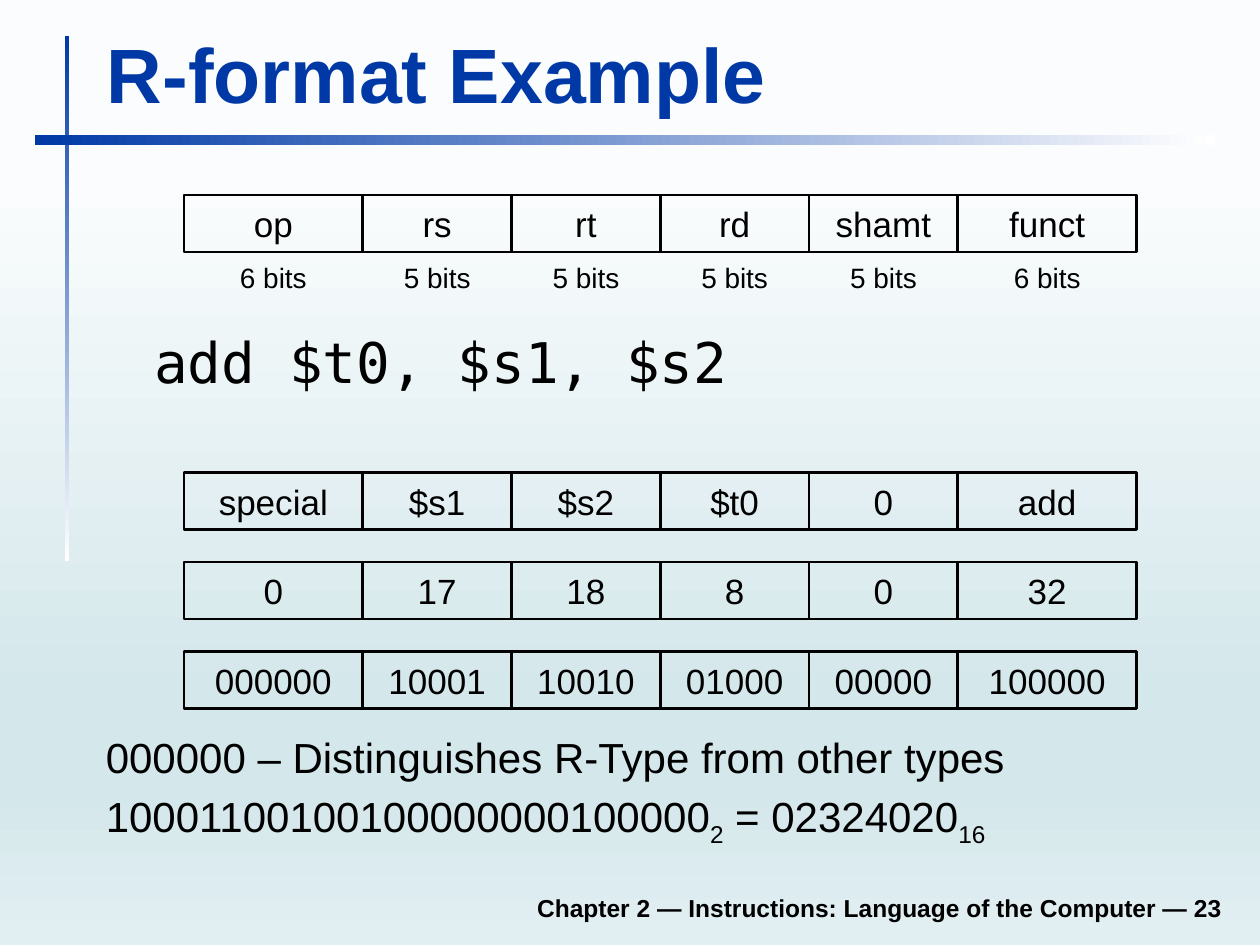
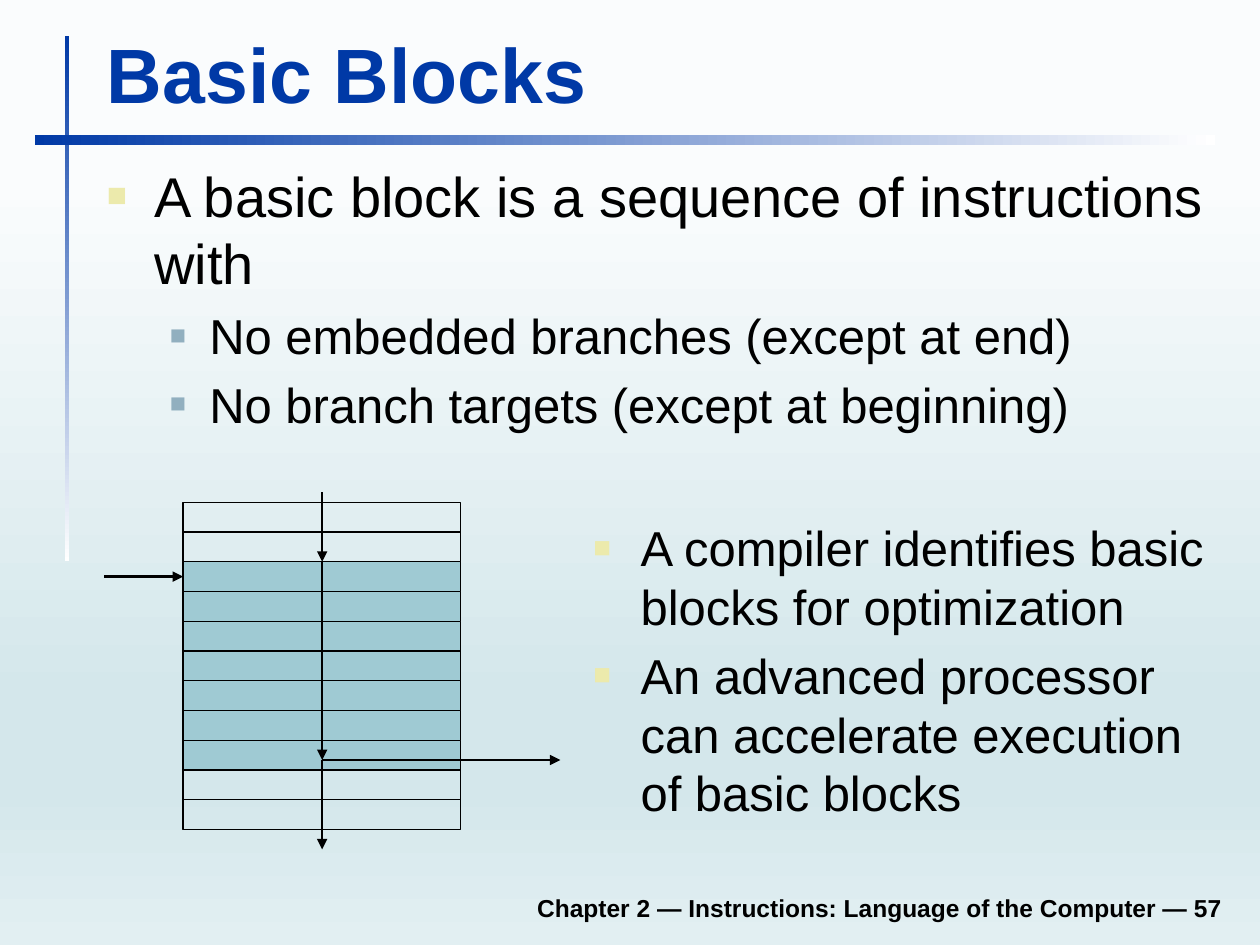
import copy
from dataclasses import dataclass

import pptx
import pptx.dml.color
import pptx.enum.dml
import pptx.enum.shapes
import pptx.enum.text
import pptx.oxml
import pptx.oxml.ns
import pptx.util

Pt = pptx.util.Pt
qn = pptx.oxml.ns.qn
ALIGN = pptx.enum.text.PP_ALIGN
ANCHOR = pptx.enum.text.MSO_ANCHOR
SHAPE = pptx.enum.shapes.MSO_SHAPE


@dataclass(frozen=True)
class Theme:
    accent: str = "0039A6"
    ink: str = "000000"
    white: str = "FFFFFF"
    block: str = "9FCAD3"
    bullets: tuple = (("ECEAAC", 60), ("91AFBF", 55))
    backdrop: tuple = ((19, "FAFCFD"), (74, "D4E7EB"), (83, "D4E7EB"), (100, "E2EFF2"))
    font: str = "Arial"
    code_font: str = "DejaVu Sans Mono"
    title: int = 44
    body: int = 32
    sub: int = 28
    note: int = 24
    cell: int = 20
    bits: int = 16
    footer: int = 14


T = Theme()
FIELD_LEFT = 105.1
FIELD_WIDTHS = (102.2, 85, 85, 85, 85, 102.2)
ROW_HEIGHT = 32.6


def rgb(value):
    return pptx.dml.color.RGBColor.from_string(value)


def set_gradient(fill, owner, stops, clockwise):
    fill.gradient()
    fill.gradient_angle = -clockwise % 360
    stop_list = next(owner.iter(qn("a:gsLst")))
    pattern = copy.deepcopy(stop_list[0])
    for old in list(stop_list):
        stop_list.remove(old)
    for _ in stops:
        stop_list.append(copy.deepcopy(pattern))
    for stop, (position, color) in zip(fill.gradient_stops, stops):
        stop.position = position / 100
        stop.color.rgb = rgb(color)


def set_bullet(p, level):
    color, percent = T.bullets[level]
    ns = pptx.oxml.ns.nsdecls("a")
    for xml in (
        f'<a:buClr {ns}><a:srgbClr val="{color}"/></a:buClr>',
        f'<a:buSzPct {ns} val="{percent * 1000}"/>',
        f'<a:buFont {ns} typeface="{T.font}"/>',
        f'<a:buChar {ns} char="■"/>',
    ):
        p._p.get_or_add_pPr().append(pptx.oxml.parse_xml(xml))


def write(tf, paragraphs, size, font=T.font, color=T.ink, bold=False,
          align=ALIGN.LEFT, anchor=ANCHOR.TOP, wrap=True):
    tf.word_wrap = wrap
    tf.vertical_anchor = anchor
    if isinstance(paragraphs, str):
        paragraphs = [paragraphs]
    for i, runs in enumerate(paragraphs):
        p = tf.paragraphs[0] if i == 0 else tf.add_paragraph()
        p.alignment = align
        if i:
            p.space_before = Pt(size * 0.2)
        for text in [runs] if isinstance(runs, str) else runs:
            r = p.add_run()
            r.text = text.lstrip("_")
            r.font.name, r.font.size, r.font.bold = font, Pt(size), bold
            r.font.color.rgb = rgb(color)
            if text.startswith("_"):
                r.font._element.set("baseline", "-25000")
    return tf


def add_text(s, box, paragraphs, size, **style):
    sp = s.shapes.add_textbox(*map(Pt, box))
    return write(sp.text_frame, paragraphs, size, **style)


def add_bullets(s, box, items):
    tf = add_text(s, box, [text for _, _, text in items], T.sub)
    for p, (level, size, _) in zip(tf.paragraphs, items):
        set_bullet(p, level)
        pPr = p._p.get_or_add_pPr()
        margin, indent = ((27, -27), (58.5, -22.5))[level]
        pPr.set("marL", str(Pt(margin)))
        pPr.set("indent", str(Pt(indent)))
        p.runs[0].font.size = Pt(size)


def add_rect(s, box, fill=None, line=None):
    sp = s.shapes.add_shape(SHAPE.RECTANGLE, *map(Pt, box))
    sp.shadow.inherit = False
    if fill:
        sp.fill.solid()
        sp.fill.fore_color.rgb = rgb(fill)
    else:
        sp.fill.background()
    if line:
        sp.line.color.rgb = rgb(T.ink)
        sp.line.width = Pt(line)
    else:
        sp.line.fill.background()
    return sp


def add_rule(s, box, clockwise):
    sp = add_rect(s, box)
    set_gradient(sp.fill, sp._element, ((0, T.accent), (100, T.white)), clockwise)


def add_arrow(s, start, end):
    c = s.shapes.add_connector(pptx.enum.shapes.MSO_CONNECTOR.STRAIGHT,
                               *map(Pt, start + end))
    c.line.color.rgb = rgb(T.ink)
    c.line.width = Pt(1.5)
    ns = pptx.oxml.ns.nsdecls("a")
    c.line._get_or_add_ln().append(
        pptx.oxml.parse_xml(f'<a:tailEnd {ns} type="triangle"/>'))
    c._element.spPr.append(pptx.oxml.parse_xml(f"<a:effectLst {ns}/>"))
    return c


def add_field_row(s, top, values):
    left = FIELD_LEFT
    for width, value in zip(FIELD_WIDTHS, values):
        sp = add_rect(s, (left, top, width, ROW_HEIGHT), line=1.5)
        write(sp.text_frame, value, T.cell, align=ALIGN.CENTER, anchor=ANCHOR.MIDDLE)
        left += width


def add_bit_counts(s, top, counts):
    left = FIELD_LEFT
    for width, count in zip(FIELD_WIDTHS, counts):
        add_text(s, (left, top, width, 26.6), f"{count} bits", T.bits, align=ALIGN.CENTER)
        left += width


def add_base_slide(prs, title, number):
    s = prs.slides.add_slide(prs.slide_layouts[6])
    set_gradient(s.background.fill, s._element, T.backdrop, 90)
    add_rule(s, (37, 20.4, 2.6, 300.4), 90)
    add_rule(s, (19.8, 77, 674.4, 6), 0)
    add_text(s, (133.2, 502.6, 572.4, 28), 
             f"Chapter 2 — Instructions: Language of the Computer — {number}",
             T.footer, bold=True, align=ALIGN.RIGHT, anchor=ANCHOR.BOTTOM)
    add_text(s, (54, 11.5, 650, 60), title, T.title, color=T.accent, bold=True,
             anchor=ANCHOR.BOTTOM)
    return s


def add_r_format(prs):
    s = add_base_slide(prs, "R-format Example", 23)
    add_field_row(s, 111.4, ("op", "rs", "rt", "rd", "shamt", "funct"))
    add_bit_counts(s, 145.6, (6, 5, 5, 5, 5, 6))
    add_text(s, (81, 183.6, 624.6, 51), "add $t0, $s1, $s2", T.body, font=T.code_font)
    encodings = (
        ("special", "$s1", "$s2", "$t0", "0", "add"),
        ("0", "17", "18", "8", "0", "32"),
        ("000000", "10001", "10010", "01000", "00000", "100000"),
    )
    for i, values in enumerate(encodings):
        add_field_row(s, 270.1 + 51.1 * i, values)
    add_text(s, (53.4, 414.7, 640.8, 70), [
        "000000 – Distinguishes R-Type from other types",
        ("10001100100100000000100000", "_2", " = 02324020", "_16"),
    ], T.note)


def add_block_diagram(s):
    left, top, width, height = 104.6, 287, 158.6, 17
    axis = 184.1
    entry, branch = top + 2 * height, 434.3
    rows = [add_rect(s, (left, top + i * height, width, height),
                     fill=T.block if 2 <= i < 9 else None, line=0.75)
            for i in range(11)]
    for y1, y2 in ((281.4, entry), (entry, branch), (branch, 485.4)):
        add_arrow(s, (axis, y1), (axis, y2))
    add_arrow(s, (axis, branch), (320.2, branch))
    jump_in = add_arrow(s, (59.5, entry + height / 2), (left, entry + height / 2))
    jump_in.end_connect(rows[2], 1)


def add_basic_blocks(prs):
    s = add_base_slide(prs, "Basic Blocks", 57)
    add_bullets(s, (54, 88.6, 651.6, 181.4), (
        (0, T.body, "A basic block is a sequence of instructions with"),
        (1, T.sub, "No embedded branches (except at end)"),
        (1, T.sub, "No branch targets (except at beginning)"),
    ))
    add_block_diagram(s)
    add_bullets(s, (332, 292.3, 368, 187.2), (
        (0, T.sub, "A compiler identifies basic blocks for optimization"),
        (0, T.sub, "An advanced processor can accelerate execution of basic blocks"),
    ))


def main():
    prs = pptx.Presentation()
    prs.slide_width, prs.slide_height = Pt(720), Pt(540)
    add_r_format(prs)
    add_basic_blocks(prs)
    prs.save("out.pptx")


if __name__ == "__main__":
    main()
